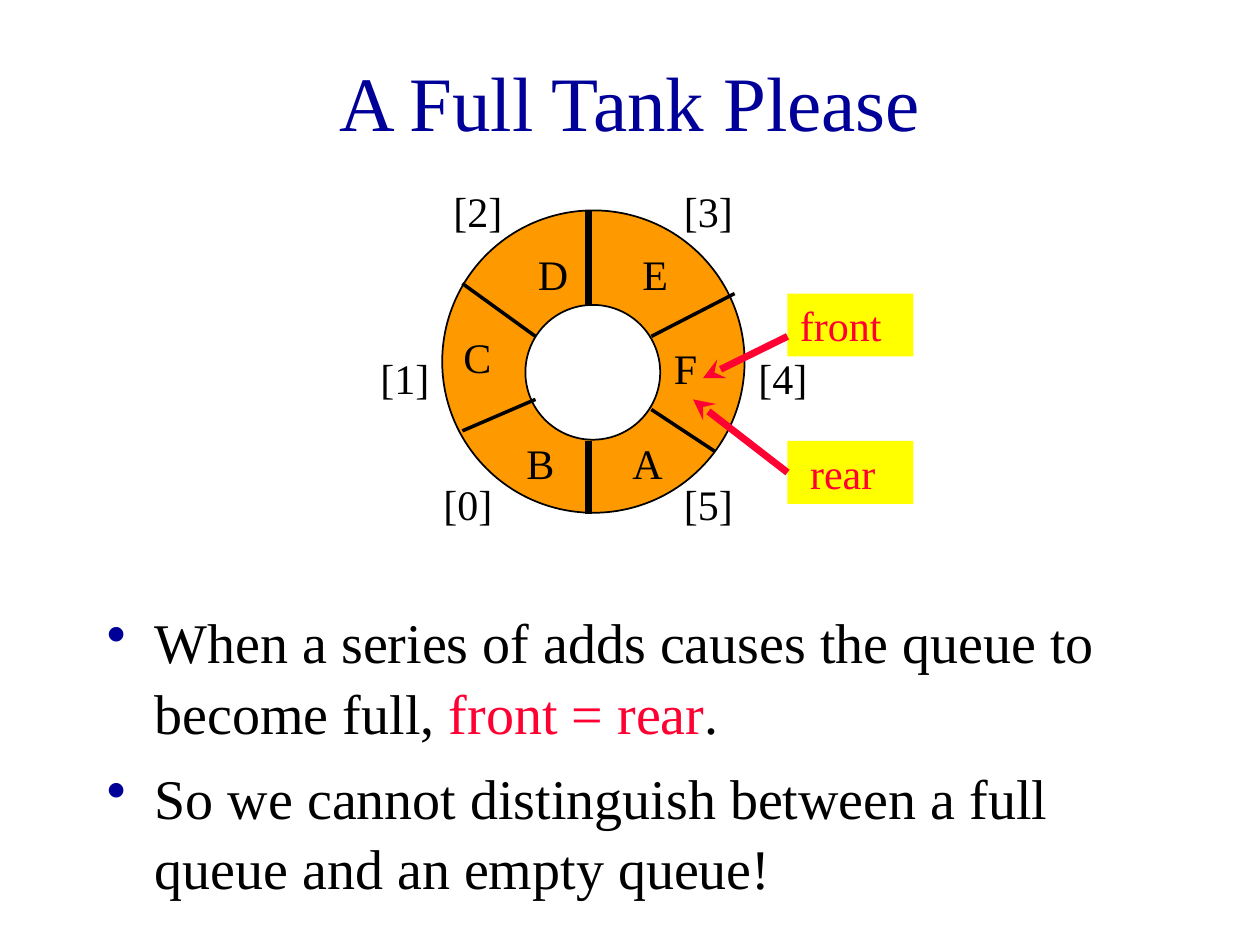
import pptx
import pptx.util
import pptx.dml.color
import pptx.enum.shapes
import pptx.enum.text
import pptx.oxml.ns
import lxml.etree

Inches = pptx.util.Inches
Pt = pptx.util.Pt
qn = pptx.oxml.ns.qn
SHAPE = pptx.enum.shapes.MSO_SHAPE
ALIGN = pptx.enum.text.PP_ALIGN
ANCHOR = pptx.enum.text.MSO_ANCHOR


def color(hex_value):
    return pptx.dml.color.RGBColor.from_string(hex_value)


class SlideBuilder:
    """Draws styled elements on the current slide."""

    font = "Times New Roman"
    ink, navy, red = "000000", "000099", "FF0033"
    orange, yellow, white = "FF9900", "FFFF00", "FFFFFF"

    def __init__(self, slide):
        self.slide = slide

    def apply(self, target, formats):
        for name, value in formats.items():
            setattr(target, name, value)

    def add_words(self, paragraph, words, size, hue):
        run = paragraph.add_run()
        run.text = words
        self.apply(run.font, {"name": self.font, "size": Pt(size)})
        run.font.color.rgb = color(hue)

    def text(self, words, left, top, width, height, size=24, hue=ink,
             align=ALIGN.LEFT, anchor=ANCHOR.TOP):
        box = self.slide.shapes.add_textbox(*map(Inches, (left, top, width, height)))
        self.apply(box.text_frame, {"word_wrap": True, "vertical_anchor": anchor})
        paragraph = box.text_frame.paragraphs[0]
        paragraph.alignment = align
        self.add_words(paragraph, words, size, hue)

    def shape(self, kind, left, top, width, height, fill, outline=None):
        shape = self.slide.shapes.add_shape(kind, *map(Inches, (left, top, width, height)))
        shape.shadow.inherit = False
        shape.fill.solid()
        shape.fill.fore_color.rgb = color(fill)
        if outline:
            shape.line.color.rgb = color(outline)
            shape.line.width = Pt(1)
        else:
            shape.line.fill.background()
        return shape

    def circle(self, left, top, diameter, fill):
        self.shape(SHAPE.OVAL, left, top, diameter, diameter, fill, self.ink)

    def tag(self, words, left, top, inset=0.1):
        tag = self.shape(SHAPE.RECTANGLE, left, top, 1, 0.5, self.yellow)
        self.apply(tag.text_frame, {"margin_left": Inches(inset), "word_wrap": True,
                                    "vertical_anchor": ANCHOR.TOP})
        paragraph = tag.text_frame.paragraphs[0]
        paragraph.alignment = ALIGN.LEFT
        self.add_words(paragraph, words, 24, self.red)

    def line(self, start, end, width, hue=ink, arrow=False):
        line = self.slide.shapes.add_connector(
            pptx.enum.shapes.MSO_CONNECTOR.STRAIGHT, *map(Inches, start + end))
        line.line.color.rgb = color(hue)
        line.line.width = Pt(width)
        properties = line._element.spPr
        if arrow:
            lxml.etree.SubElement(properties.find(qn("a:ln")), qn("a:tailEnd"), type="stealth")
        lxml.etree.SubElement(properties, qn("a:effectLst"))

    def bullets(self, items, left, top, width, height):
        box = self.slide.shapes.add_textbox(*map(Inches, (left, top, width, height)))
        frame = box.text_frame
        frame.word_wrap = True
        for index, item in enumerate(items):
            paragraph = frame.add_paragraph() if index else frame.paragraphs[0]
            self.apply(paragraph, {"line_spacing": 1.05, "space_before": Pt(8 if index else 0)})
            layout = paragraph._p.get_or_add_pPr()
            layout.set("marL", str(Inches(0.38)))
            layout.set("indent", str(Inches(-0.38)))
            bullet_color = lxml.etree.SubElement(layout, qn("a:buClr"))
            lxml.etree.SubElement(bullet_color, qn("a:srgbClr"), val=self.navy)
            lxml.etree.SubElement(layout, qn("a:buChar"), char="•")
            for words, hue in item:
                self.add_words(paragraph, words, 32, hue)


def main():
    deck = pptx.Presentation()
    deck.slide_width, deck.slide_height = Inches(10), Inches(7.5)
    page = SlideBuilder(deck.slides.add_slide(deck.slide_layouts[6]))

    page.text("A Full Tank Please", 0.75, 0.17, 8.5, 1.25, 44, page.navy,
              ALIGN.CENTER, ANCHOR.MIDDLE)

    page.circle(3.51, 1.67, 2.4, page.orange)
    page.circle(4.17, 2.42, 1.07, page.white)
    dividers = [
        ((4.67, 1.67), (4.67, 2.42), 4),
        ((4.67, 3.5), (4.67, 4.08), 4),
        ((3.67, 2.25), (4.25, 2.67), 2),
        ((4.25, 3.17), (3.67, 3.42), 2),
        ((5.17, 2.67), (5.83, 2.33), 2),
        ((5.17, 3.25), (5.67, 3.58), 2),
    ]
    for start, end, width in dividers:
        page.line(start, end, width)

    index_places = [(3.42, 3.75), (2.92, 2.75), (3.5, 1.42),
                    (5.33, 1.42), (5.92, 2.75), (5.33, 3.75)]
    for index, place in enumerate(index_places):
        page.text(f"[{index}]", *place, 0.92, 0.5)

    entry_places = {"A": (4.92, 3.42), "B": (4.08, 3.42), "C": (3.58, 2.58),
                    "D": (4.17, 1.92), "E": (5, 1.92), "F": (5.25, 2.67)}
    for entry, place in entry_places.items():
        page.text(entry, *place, 0.67, 0.5)

    page.tag("front", 6.25, 2.33)
    page.tag("rear", 6.25, 3.5, inset=0.18)
    page.line((6.25, 2.67), (5.58, 3), 4, page.red, arrow=True)
    page.line((6.25, 3.75), (5.5, 3.17), 4, page.red, arrow=True)

    page.bullets([
        [("When a series of adds causes the queue to become full, ", page.ink),
         ("front = rear", page.red), (".", page.ink)],
        [("So we cannot distinguish between a full queue and an empty queue!", page.ink)],
    ], 0.75, 4.75, 8.5, 0.33)

    deck.save("out.pptx")


if __name__ == "__main__":
    main()
